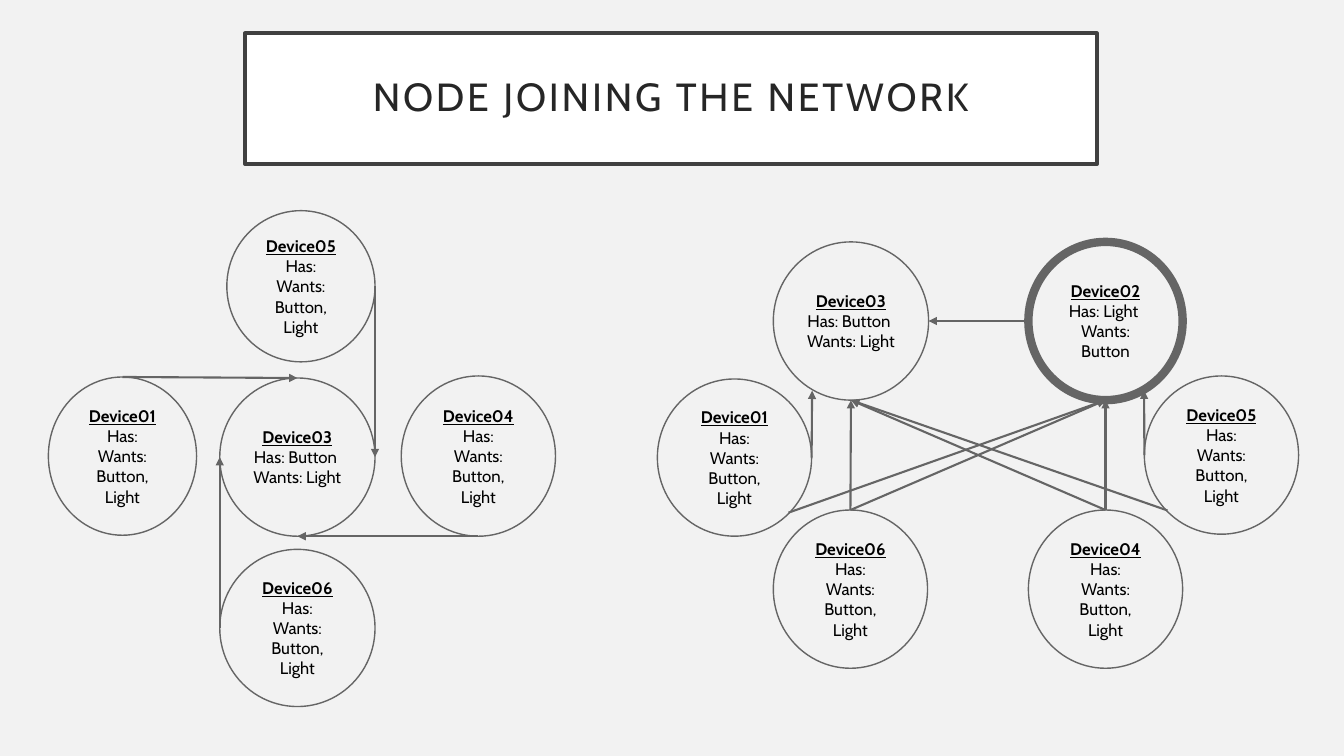
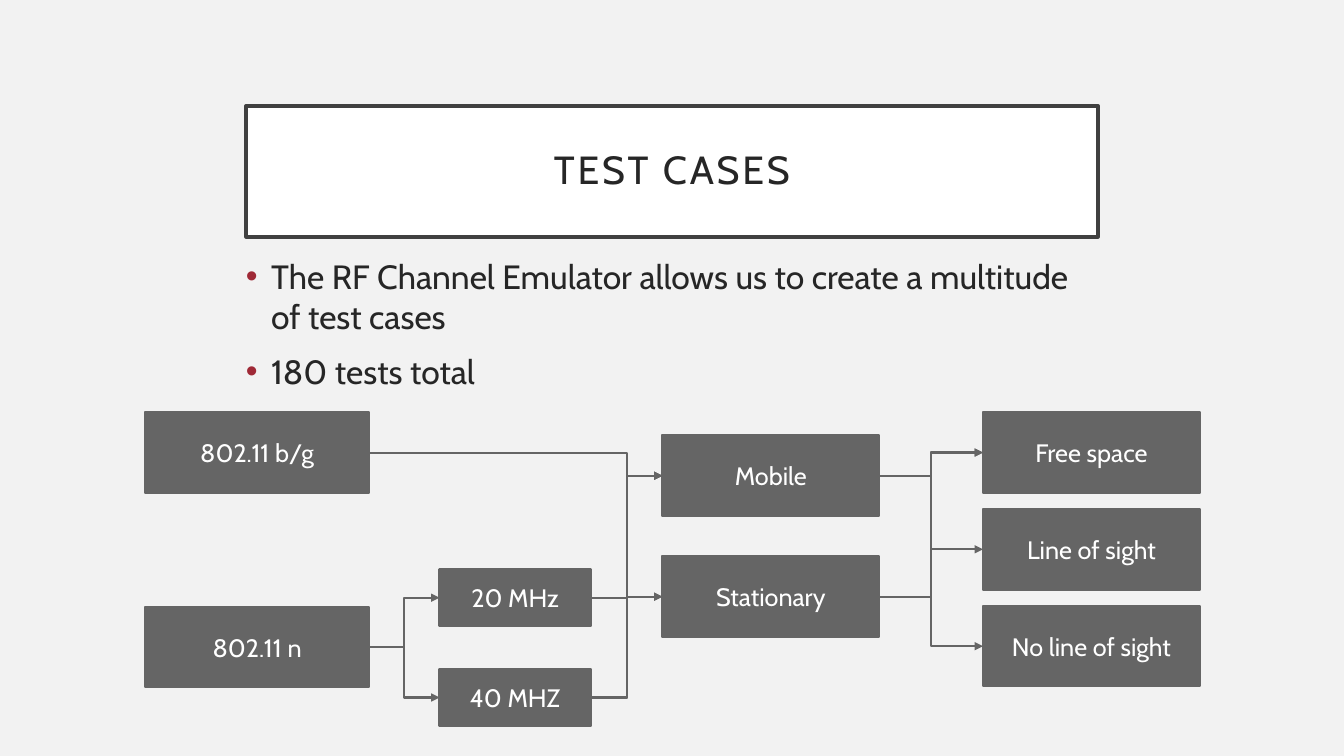
from dataclasses import dataclass

from lxml.etree import SubElement
from pptx import Presentation
from pptx.dml.color import RGBColor
from pptx.enum.shapes import MSO_CONNECTOR, MSO_SHAPE
from pptx.enum.text import MSO_ANCHOR, PP_ALIGN
from pptx.oxml.ns import qn
from pptx.util import Inches, Pt


@dataclass(frozen=True)
class Theme:
    font: str = "Cabin"
    background: str = "F2F2F2"
    panel: str = "FFFFFF"
    frame: str = "404040"
    heading: str = "262626"
    gray: str = "656565"
    node_text: str = "000000"
    box_text: str = "FFFFFF"
    bullet: str = "9F2936"
    title_size: int = 28
    body_size: int = 24
    box_size: int = 18
    node_size: int = 12
    frame_width: float = 2.5
    rim: float = 1
    thick_rim: float = 6
    arrow: float = 1.5


THEME = Theme()

# Slide 1: nodes as (left, top, width, height, lines)
BOTH = ["Has:", "Wants: Button, Light"]
WANTS_LIGHT = ["Has: Button ", "Wants: Light"]
WANTS_BUTTON = ["Has: Light ", "Wants: Button"]
NEW_NODE = "Device02"

BEFORE_JOINING = {
    "Device03": (2.18, 3.75, 1.54, 1.57, WANTS_LIGHT),
    "Device01": (0.48, 3.74, 1.47, 1.57, BOTH),
    "Device04": (3.98, 3.73, 1.53, 1.59, BOTH),
    "Device05": (2.25, 2.09, 1.47, 1.5, BOTH),
    "Device06": (2.18, 5.45, 1.54, 1.56, BOTH),
}
BEFORE_LINKS = [
    ("Device01", "top", "Device03", "top"),
    ("Device05", "right", "Device03", "right"),
    ("Device04", "bottom", "Device03", "bottom"),
    ("Device06", "left", "Device03", "left"),
]
AFTER_JOINING = {
    "Device03": (7.67, 2.4, 1.54, 1.57, WANTS_LIGHT),
    "Device01": (6.52, 3.76, 1.53, 1.56, BOTH),
    "Device04": (10.2, 5.06, 1.53, 1.57, BOTH),
    "Device05": (11.35, 3.73, 1.53, 1.57, BOTH),
    "Device06": (7.67, 5.06, 1.53, 1.57, BOTH),
    NEW_NODE: (10.2, 2.4, 1.53, 1.57, WANTS_BUTTON),
}
AFTER_LINKS = [
    ("Device05", "left", NEW_NODE, "lower right"),
    ("Device05", "bottom left", "Device03", "bottom"),
    ("Device01", "bottom right", NEW_NODE, "bottom"),
    ("Device06", "top", "Device03", "bottom"),
    ("Device06", "top", NEW_NODE, "bottom"),
    ("Device04", "top", NEW_NODE, "bottom"),
    ("Device04", "top", "Device03", "bottom"),
    ("Device01", "right", "Device03", "lower left"),
    (NEW_NODE, "left", "Device03", "right"),
]
# Points on a node's rim, as shares of its width and height
RIM_POINTS = {
    "top": (0.5, 0), "bottom": (0.5, 1), "left": (0, 0.5), "right": (1, 0.5),
    "bottom left": (0.15, 0.85), "bottom right": (0.85, 0.85),
    "lower left": (0.25, 0.94), "lower right": (0.75, 0.94),
}

# Slide 2: bullets, and columns as (left, width, height, {label: top})
TEST_POINTS = [
    "The RF Channel Emulator allows us to create a multitude of test cases",
    "180 tests total",
]
FLOW_COLUMNS = [
    (1.44, 2.22, 0.8, {"802.11 b/g": 4.09, "802.11 n": 6.02}),
    (4.36, 1.5, 0.56, {"20 MHz": 5.65, "40 MHZ": 6.64}),
    (6.57, 2.15, 0.8, {"Mobile": 4.32, "Stationary": 5.52}),
    (9.75, 2.15, 0.8, {"Free space": 4.09, "Line of sight": 5.05,
                       "No line of sight": 6.01}),
]
FLOW_LINKS = [
    ("802.11 b/g", ["Mobile"]),
    ("802.11 n", ["20 MHz", "40 MHZ"]),
    ("Mobile", ["Free space", "Line of sight", "No line of sight"]),
    ("Stationary", ["Free space"]),
    ("20 MHz", ["Mobile", "Stationary"]),
    ("40 MHZ", ["Stationary", "Mobile"]),
]
BEND_SHARE = {"802.11 b/g": 0.88}
RECT_LEFT, RECT_RIGHT = 1, 3


# Shared helpers
def rgb(value):
    return RGBColor.from_string(value)


def add_run(paragraph, text, size, color, bold=False, underline=False):
    run = paragraph.add_run()
    run.text = text
    font = run.font
    font.name, font.size = THEME.font, Pt(size)
    font.color.rgb = rgb(color)
    font.bold, font.underline = bold, underline
    return run


def next_paragraph(frame, index):
    return frame.add_paragraph() if index else frame.paragraphs[0]


def add_panel(slide, preset, box, fill, line, width):
    panel = slide.shapes.add_shape(preset, *(Inches(v) for v in box))
    panel.shadow.inherit = False
    panel.fill.solid()
    panel.fill.fore_color.rgb = rgb(fill)
    panel.line.color.rgb = rgb(line)
    panel.line.width = Pt(width)
    frame = panel.text_frame
    frame.word_wrap = True
    frame.vertical_anchor = MSO_ANCHOR.MIDDLE
    return panel


def add_title(slide, text, left, top):
    panel = add_panel(slide, MSO_SHAPE.RECTANGLE, (left, top, 8.45, 1.3),
                      THEME.panel, THEME.frame, THEME.frame_width)
    frame = panel.text_frame
    frame.margin_left = frame.margin_right = Inches(0.2)
    frame.margin_top = frame.margin_bottom = Inches(0.2)
    paragraph = frame.paragraphs[0]
    paragraph.alignment = PP_ALIGN.CENTER
    paragraph.line_spacing = 0.9
    run = add_run(paragraph, text, THEME.title_size, THEME.heading)
    run.font._element.set("spc", "200")


def add_arrow(slide, kind, start, end):
    arrow = slide.shapes.add_connector(
        kind, *(Inches(v) for v in (*start, *end)))
    arrow.line.color.rgb = rgb(THEME.gray)
    arrow.line.width = Pt(THEME.arrow)
    SubElement(arrow.line._get_or_add_ln(), qn("a:tailEnd"), type="triangle")
    SubElement(arrow._element.spPr, qn("a:effectLst"))
    return arrow


# Slide 1 parts
def add_node(slide, name, left, top, width, height, lines):
    rim = THEME.thick_rim if name == NEW_NODE else THEME.rim
    node = add_panel(slide, MSO_SHAPE.OVAL, (left, top, width, height),
                     THEME.background, THEME.gray, rim)
    for index, text in enumerate([name, *lines]):
        paragraph = next_paragraph(node.text_frame, index)
        paragraph.alignment = PP_ALIGN.CENTER
        is_name = index == 0
        add_run(paragraph, text, THEME.node_size, THEME.node_text,
                bold=is_name, underline=is_name)


def rim_point(node, side):
    left, top, width, height, _ = node
    across, down = RIM_POINTS[side]
    return left + across * width, top + down * height


def add_network(slide, nodes, links):
    for name, node in nodes.items():
        add_node(slide, name, *node)
    for source, source_side, target, target_side in links:
        add_arrow(slide, MSO_CONNECTOR.STRAIGHT,
                  rim_point(nodes[source], source_side),
                  rim_point(nodes[target], target_side))


# Slide 2 parts
def add_bullets(slide, points):
    body = slide.shapes.add_textbox(
        Inches(2.34), Inches(2.49), Inches(8.45), Inches(1.5))
    body.text_frame.word_wrap = True
    for index, text in enumerate(points):
        paragraph = next_paragraph(body.text_frame, index)
        props = paragraph._p.get_or_add_pPr()
        props.set("marL", str(Inches(0.25)))
        props.set("indent", str(-Inches(0.25)))
        color = SubElement(props, qn("a:buClr"))
        SubElement(color, qn("a:srgbClr"), val=THEME.bullet)
        SubElement(props, qn("a:buFont"), typeface="Arial")
        SubElement(props, qn("a:buChar"), char="•")
        if index:
            paragraph.space_before = Pt(10)
        add_run(paragraph, text, THEME.body_size, THEME.heading)


def add_flow(slide):
    boxes = {}
    for left, width, height, tops in FLOW_COLUMNS:
        for label, top in tops.items():
            box = add_panel(slide, MSO_SHAPE.RECTANGLE,
                            (left, top, width, height),
                            THEME.gray, THEME.gray, THEME.arrow)
            paragraph = box.text_frame.paragraphs[0]
            paragraph.alignment = PP_ALIGN.CENTER
            add_run(paragraph, label, THEME.box_size, THEME.box_text)
            boxes[label] = box
    for source, targets in FLOW_LINKS:
        for target in targets:
            arrow = add_arrow(slide, MSO_CONNECTOR.ELBOW, (0, 0), (1, 1))
            arrow.begin_connect(boxes[source], RECT_RIGHT)
            arrow.end_connect(boxes[target], RECT_LEFT)
            if source in BEND_SHARE:
                guides = arrow._element.spPr.find(
                    qn("a:prstGeom")).find(qn("a:avLst"))
                share = round(BEND_SHARE[source] * 100000)
                SubElement(guides, qn("a:gd"), name="adj1",
                           fmla=f"val {share}")


def main():
    deck = Presentation()
    deck.slide_width, deck.slide_height = Inches(13.33), Inches(7.5)
    backdrop = deck.slide_master.background.fill
    backdrop.solid()
    backdrop.fore_color.rgb = rgb(THEME.background)
    blank = deck.slide_layouts[6]

    joining = deck.slides.add_slide(blank)
    add_title(joining, "NODE JOINING THE NETWORK", 2.43, 0.33)
    add_network(joining, BEFORE_JOINING, BEFORE_LINKS)
    add_network(joining, AFTER_JOINING, AFTER_LINKS)

    cases = deck.slides.add_slide(blank)
    add_title(cases, "TEST CASES", 2.44, 1.05)
    add_bullets(cases, TEST_POINTS)
    add_flow(cases)

    deck.save("out.pptx")


if __name__ == "__main__":
    main()
